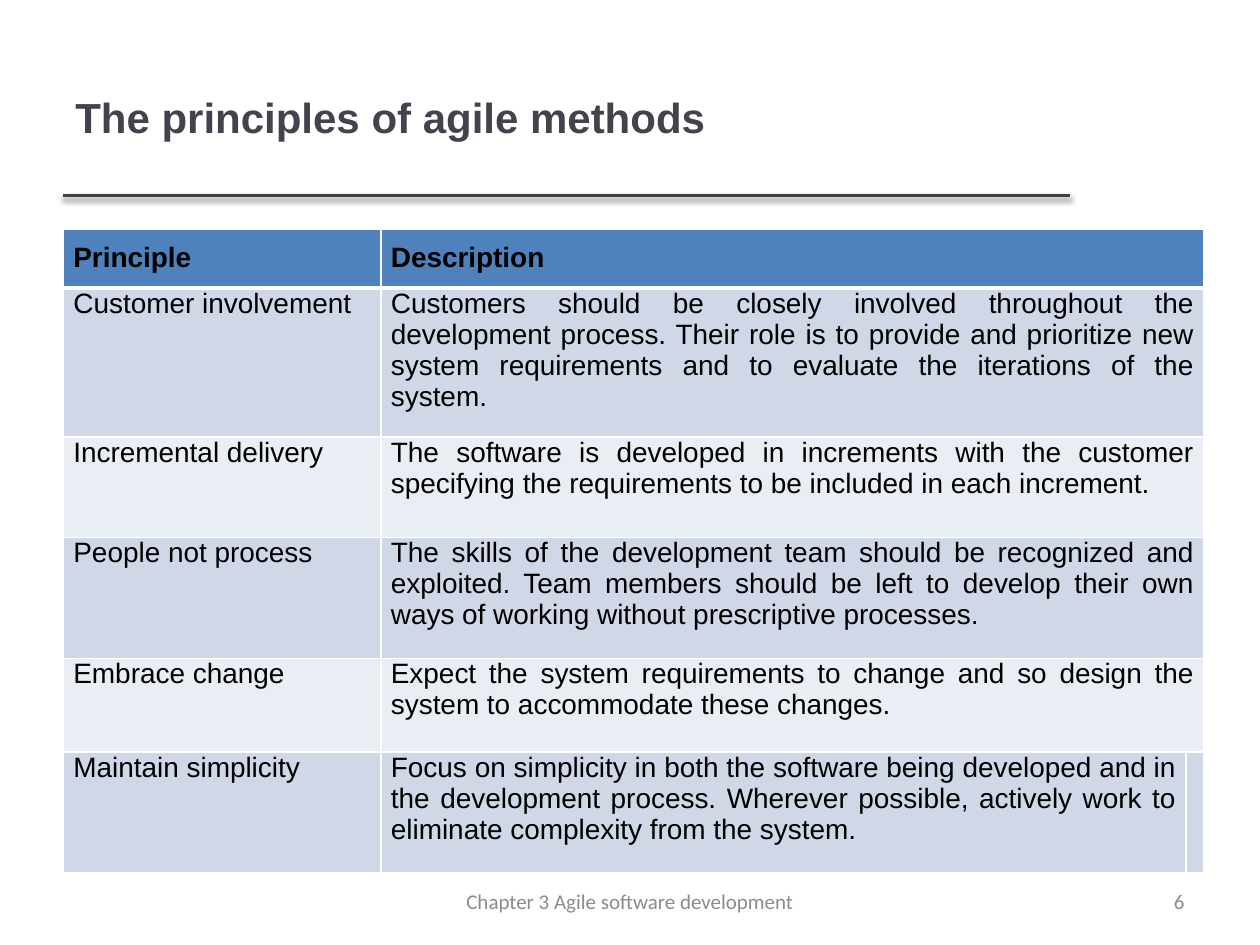
from lxml import etree
from pptx import Presentation
from pptx import util as u
from pptx.dml.color import RGBColor
from pptx.enum import shapes, text
from pptx.oxml import parse_xml
from pptx.oxml.ns import nsdecls, qn

HEADER_FILL = "4F81BD"
BAND_FILLS = ("D0D8E8", "E9EDF4")
COLUMN_WIDTHS = (6.4, 16.23, 0.36)
ROW_HEIGHTS = (1.12, 3.0, 2.03, 2.44, 1.88, 2.44)
PRINCIPLES = [
    ("Principle", "Description"),
    ("Customer involvement",
     "Customers should be closely involved throughout the development process. "
     "Their role is to provide and prioritize new system requirements and to "
     "evaluate the iterations of the system."),
    ("Incremental delivery",
     "The software is developed in increments with the customer specifying the "
     "requirements to be included in each increment."),
    ("People not process",
     "The skills of the development team should be recognized and exploited. "
     "Team members should be left to develop their own ways of working without "
     "prescriptive processes."),
    ("Embrace change",
     "Expect the system requirements to change and so design the system to "
     "accommodate these changes."),
    ("Maintain simplicity",
     "Focus on simplicity in both the software being developed and in the "
     "development process. Wherever possible, actively work to eliminate "
     "complexity from the system."),
]


def color(hex_value):
    return RGBColor.from_string(hex_value)


def style(paragraph, font_name, size, hex_value, align, bold=False):
    paragraph.alignment = align
    font = paragraph.font
    font.name, font.size, font.bold = font_name, u.Pt(size), bold
    font.color.rgb = color(hex_value)


def add_label(slide, words, box, font_name, size, hex_value, align, bold=False):
    frame = slide.shapes.add_textbox(*map(u.Cm, box)).text_frame
    frame.word_wrap = True
    frame.vertical_anchor = text.MSO_ANCHOR.MIDDLE
    frame.text = words
    style(frame.paragraphs[0], font_name, size, hex_value, align, bold)


def add_title_rule(slide):
    rule = slide.shapes.add_connector(
        shapes.MSO_CONNECTOR.STRAIGHT,
        u.Cm(1.27), u.Cm(3.94), u.Cm(21.57), u.Cm(3.94))
    rule.line.color.rgb = color("404040")
    rule.line.width = u.Pt(2)
    # Soft shadow straight below the rule
    rule._element.spPr.append(parse_xml(
        f'<a:effectLst {nsdecls("a")}>'
        f'<a:outerShdw blurRad="{u.Pt(3.1)}" dist="{u.Pt(1.6)}" dir="5400000" '
        'rotWithShape="0"><a:srgbClr val="000000"><a:alpha val="38000"/>'
        '</a:srgbClr></a:outerShdw></a:effectLst>'))


def set_borders(cell, top, bottom):
    properties = cell._tc.get_or_add_tcPr()
    widths = {"lnL": 1, "lnR": 1, "lnT": top, "lnB": bottom}
    for position, (side, width) in enumerate(widths.items()):
        border = etree.Element(qn(f"a:{side}"), w=str(u.Pt(width)))
        fill = etree.SubElement(border, qn("a:solidFill"))
        etree.SubElement(fill, qn("a:srgbClr"), val="FFFFFF")
        properties.insert(position, border)


def format_cell(cell, row):
    cell.fill.solid()
    cell.fill.fore_color.rgb = color(
        BAND_FILLS[(row - 1) % 2] if row else HEADER_FILL)
    cell.margin_left = cell.margin_right = u.Cm(0.2)
    cell.margin_top = u.Cm(0 if row else 0.25)
    cell.margin_bottom = u.Cm(0.25)
    set_borders(cell, top=3 if row == 1 else 1, bottom=1 if row else 3)


def add_principles_table(slide):
    table = slide.shapes.add_table(
        len(PRINCIPLES), len(COLUMN_WIDTHS), u.Cm(1.28), u.Cm(4.63),
        u.Cm(sum(COLUMN_WIDTHS)), u.Cm(sum(ROW_HEIGHTS))).table
    for column, width in zip(table.columns, COLUMN_WIDTHS):
        column.width = u.Cm(width)

    last_row = len(PRINCIPLES) - 1
    for row, (entry, height) in enumerate(zip(PRINCIPLES, ROW_HEIGHTS)):
        table.rows[row].height = u.Cm(height)
        for column in range(len(COLUMN_WIDTHS)):
            format_cell(table.cell(row, column), row)
        for column, words in enumerate(entry):
            cell = table.cell(row, column)
            cell.text = words
            style(cell.text_frame.paragraphs[0], "Arial", 16, "000000",
                  text.PP_ALIGN.JUSTIFY, bold=row == 0)
        # Only the last row keeps its narrow third cell
        if row < last_row:
            table.cell(row, 1).merge(table.cell(row, 2))
    narrow_cell = table.cell(last_row, 2)
    narrow_cell.margin_left = narrow_cell.margin_right = 0


def main():
    deck = Presentation()
    deck.slide_width, deck.slide_height = u.Cm(25.4), u.Cm(19.05)
    slide = deck.slides.add_slide(deck.slide_layouts[6])

    # Heading
    add_title_rule(slide)
    add_label(slide, "The principles of agile methods", (1.27, 0.76, 20.28, 3.18),
              "Arial", 24, "46424D", text.PP_ALIGN.LEFT, bold=True)

    # Principles
    add_principles_table(slide)

    # Footer
    add_label(slide, "6", (18.2, 17.66, 5.93, 1.01),
              "Calibri", 12, "8C8C8C", text.PP_ALIGN.RIGHT)
    add_label(slide, "Chapter 3 Agile software development",
              (8.68, 17.66, 8.04, 1.01),
              "Calibri", 12, "8C8C8C", text.PP_ALIGN.CENTER)

    deck.save("out.pptx")


if __name__ == "__main__":
    main()
